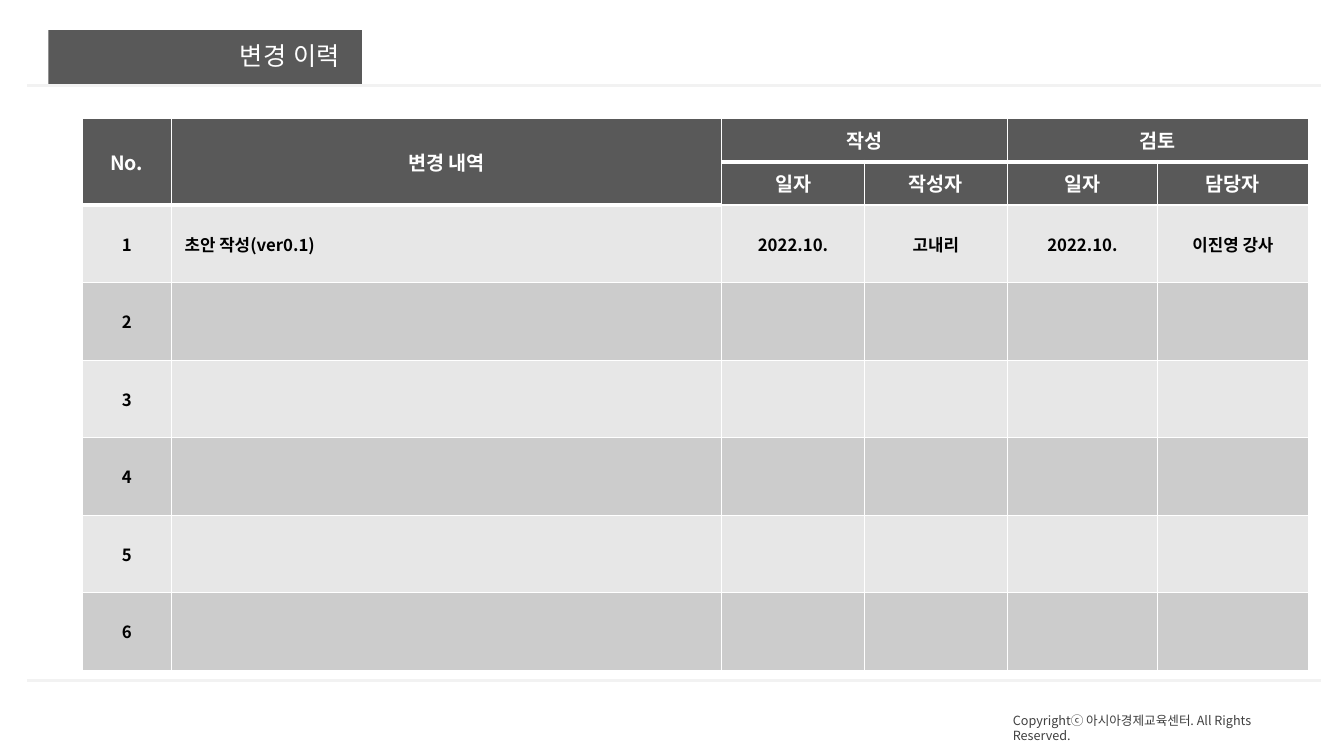
from pptx import Presentation
from pptx.dml.color import RGBColor
from pptx.enum.shapes import MSO_CONNECTOR as Connector, MSO_SHAPE as Shape
from pptx.enum.text import MSO_ANCHOR as Anchor, PP_ALIGN as Align
from pptx.oxml.ns import qn
from pptx.util import Pt
from lxml.etree import SubElement

WHITE = RGBColor(0xFF, 0xFF, 0xFF)
BLACK = RGBColor(0x00, 0x00, 0x00)
DARK = RGBColor(0x59, 0x59, 0x59)
TEXT_GREY = RGBColor(0x40, 0x40, 0x40)
RULE_GREY = RGBColor(0xF2, 0xF2, 0xF2)
BANDS = (RGBColor(0xE7, 0xE7, 0xE7), RGBColor(0xCC, 0xCC, 0xCC))
FONT = "Noto Sans CJK KR"

COLUMN_WIDTHS = (64, 393, 102, 102, 107.5, 107.5)
HEADER_HEIGHT, ROW_HEIGHT = 31, 55.4
MERGES = (((0, 0), (1, 0)), ((0, 1), (1, 1)), ((0, 2), (0, 3)), ((0, 4), (0, 5)))
HEADERS = (
    ("No.", "변경 내역", "작성", "", "검토", ""),
    ("", "", "일자", "작성자", "일자", "담당자"),
)
FIRST_ENTRY = ("1", "초안 작성(ver0.1)", "2022.10.", "고내리", "2022.10.", "이진영 강사")
ENTRIES = (FIRST_ENTRY,) + tuple((str(number),) + ("",) * 5 for number in range(2, 7))


def style_para(para, text, size, color, font=FONT, bold=False, align=Align.LEFT):
    para.text = text
    para.alignment = align
    para.font.size = Pt(size)
    para.font.bold = bold
    para.font.color.rgb = color
    para.font.name = font
    for span in para.runs:
        props = span._r.get_or_add_rPr()
        SubElement(props, qn("a:ea"), typeface=font)


def add_text(page, left, top, width, height, text, **style):
    box = page.shapes.add_textbox(Pt(left), Pt(top), Pt(width), Pt(height))
    box.text_frame.word_wrap = True
    para = box.text_frame.paragraphs[0]
    style_para(para, text, **style)
    return para


def add_rule(page, left, top, width):
    rule = page.shapes.add_connector(
        Connector.STRAIGHT, Pt(left), Pt(top), Pt(left + width), Pt(top))
    rule.line.color.rgb = RULE_GREY
    rule.line.width = Pt(2.25)
    SubElement(rule._element.spPr, qn("a:effectLst"))


def add_title(page, left, top, width, height):
    banner = page.shapes.add_shape(Shape.RECTANGLE, Pt(left), Pt(top), Pt(width), Pt(height))
    banner.shadow.inherit = False
    banner.fill.solid()
    banner.fill.fore_color.rgb = DARK
    banner.line.fill.background()
    para = add_text(page, left - 3, top + 5.8, width - 6, 28, "변경 이력",
                    size=18, color=WHITE, font="Arial", align=Align.RIGHT)
    para.line_spacing = 0.9


def has_thick_bottom(row, column):
    return row == (1 if column < 2 else 0)


def set_borders(cell, row, column):
    thick_top = row > 0 and has_thick_bottom(row - 1, column)
    thick_bottom = has_thick_bottom(row, column) or (row == 0 and column < 2)
    widths = {"lnL": 1, "lnR": 1, "lnT": 3 if thick_top else 1,
              "lnB": 3 if thick_bottom else 1}
    props = cell._tc.get_or_add_tcPr()
    for side, width in widths.items():
        border = SubElement(props, qn(f"a:{side}"), w=str(Pt(width)))
        fill = SubElement(border, qn("a:solidFill"))
        SubElement(fill, qn("a:srgbClr"), val=str(WHITE))


def fill_cell(cell, row, column, text):
    is_header = row < len(HEADERS)
    set_borders(cell, row, column)
    cell.fill.solid()
    cell.fill.fore_color.rgb = DARK if is_header else BANDS[row % 2]
    cell.vertical_anchor = Anchor.MIDDLE
    cell.margin_left = cell.margin_right = Pt(9.4)
    cell.margin_top = cell.margin_bottom = Pt(5)
    left_aligned = column == 1 and not is_header
    style_para(cell.text_frame.paragraphs[0], text,
               size=14 if is_header else 12,
               color=WHITE if is_header else BLACK, bold=True,
               align=Align.LEFT if left_aligned else Align.CENTER)


def add_history_table(page, left, top):
    rows = HEADERS + ENTRIES
    heights = [HEADER_HEIGHT] * len(HEADERS) + [ROW_HEIGHT] * len(ENTRIES)
    table = page.shapes.add_table(
        len(rows), len(COLUMN_WIDTHS), Pt(left), Pt(top),
        Pt(sum(COLUMN_WIDTHS)), Pt(sum(heights))).table
    for column, width in zip(table.columns, COLUMN_WIDTHS):
        column.width = Pt(width)
    for row, height in zip(table.rows, heights):
        row.height = Pt(height)
    for row, texts in enumerate(rows):
        for column, text in enumerate(texts):
            fill_cell(table.cell(row, column), row, column, text)
    for first, last in MERGES:
        table.cell(*first).merge(table.cell(*last))


def add_footer(page, left, top, width):
    add_rule(page, left, top, width)
    add_text(page, left + 697, top + 19.5, 220, 18,
             "Copyrightⓒ 아시아경제교육센터. All Rights Reserved.",
             size=9, color=TEXT_GREY)


def main():
    deck = Presentation()
    deck.slide_width, deck.slide_height = Pt(960), Pt(540)
    page = deck.slides.add_slide(deck.slide_layouts[6])
    add_history_table(page, 58.5, 84.5)
    add_title(page, 34.6, 21.6, 224, 39.4)
    add_rule(page, 19.4, 61.2, 924)
    add_footer(page, 19.4, 486, 924)
    deck.save("out.pptx")


if __name__ == "__main__":
    main()
